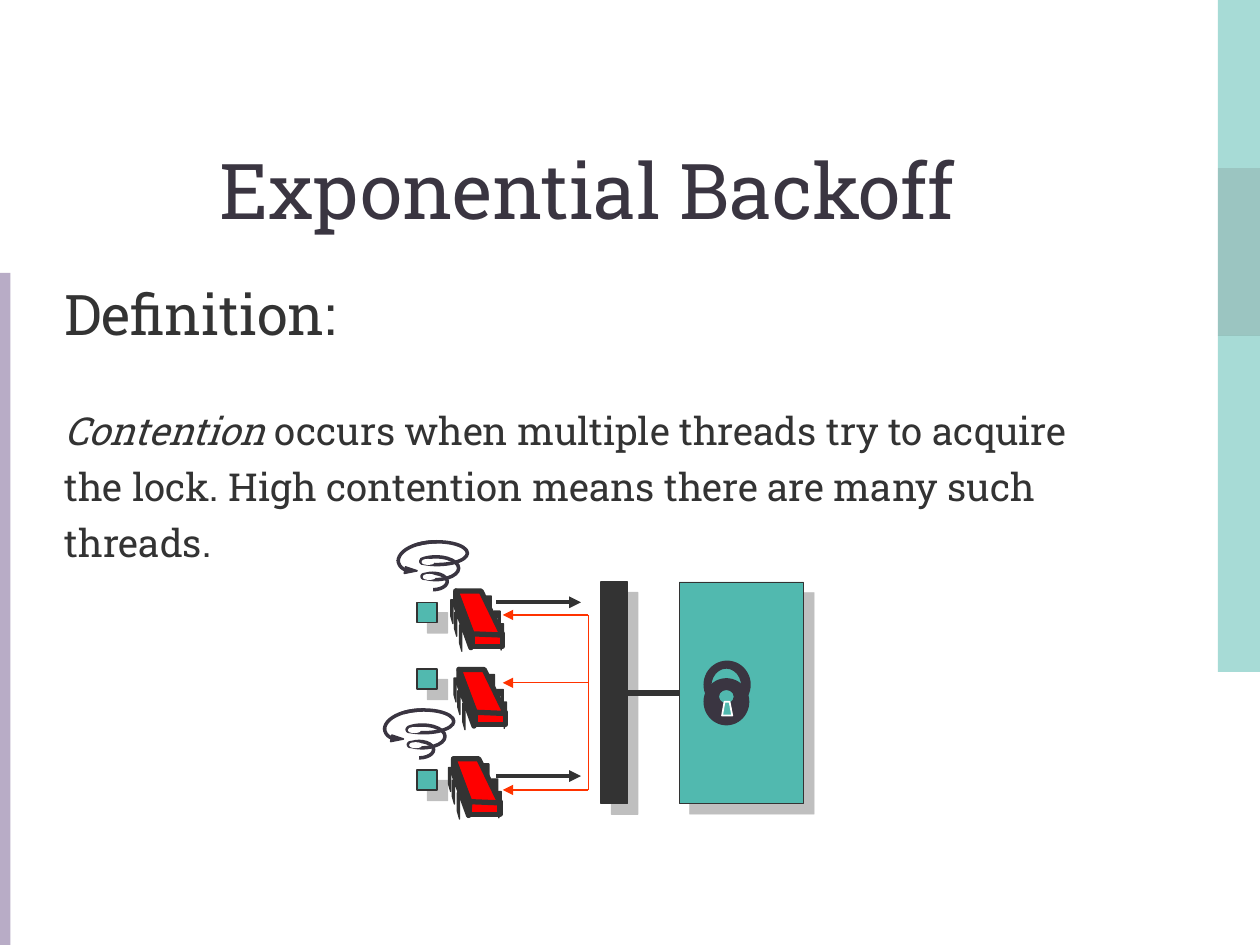
from lxml.etree import SubElement
from pptx import Presentation
from pptx.dml.color import RGBColor
from pptx.enum.shapes import MSO_CONNECTOR as Link, MSO_SHAPE as Kind
from pptx.enum.text import MSO_ANCHOR as Anchor, PP_ALIGN as Align
from pptx.oxml import parse_xml
from pptx.oxml.ns import nsdecls, qn
from pptx.util import Pt

INK = RGBColor(0x3A, 0x35, 0x41)
DARK = RGBColor(0x33, 0x33, 0x33)
TEAL = RGBColor(0x51, 0xB9, 0xAF)
DEEP = RGBColor(0x39, 0x8D, 0x85)
LILAC = RGBColor(0xB8, 0xAC, 0xC6)
RED = RGBColor(0xFF, 0x00, 0x00)
FLAME = RGBColor(0xFF, 0x33, 0x00)
WHITE = RGBColor(0xFF, 0xFF, 0xFF)
FONT = "Roboto Slab"


def paint(shape, fill=None, line=None, width=1):
    shape.shadow.inherit = False
    if fill is None:
        shape.fill.background()
    else:
        shape.fill.solid()
        shape.fill.fore_color.rgb = fill
    if line is None:
        shape.line.fill.background()
    else:
        shape.line.color.rgb = line
        shape.line.width = Pt(width)
    return shape


def add(shapes, kind, x, y, w, h, **look):
    return paint(shapes.add_shape(kind, Pt(x), Pt(y), Pt(w), Pt(h)), **look)


def poly(shapes, points, x=0, y=0, **look):
    """Draw a closed outline whose points are relative to x, y."""
    spots = [(Pt(x + px), Pt(y + py)) for px, py in points]
    form = shapes.build_freeform(*spots[0])
    form.add_line_segments(spots[1:], close=True)
    return paint(form.convert_to_shape(), **look)


def fade(shape, share):
    color = shape.fill._xPr.find(qn("a:solidFill"))[0]
    SubElement(color, qn("a:alpha")).set("val", str(share * 1000))


def drop(shape):
    """Give a shape a hard grey shadow to its lower right."""
    props = shape._element.spPr
    props.remove(props.find(qn("a:effectLst")))
    props.append(parse_xml(
        f'<a:effectLst {nsdecls("a")}><a:outerShdw blurRad="0" '
        f'dist="{Pt(8.5)}" dir="2700000" algn="tl" rotWithShape="0">'
        '<a:srgbClr val="808080"><a:alpha val="50000"/></a:srgbClr>'
        '</a:outerShdw></a:effectLst>'))


def wire(shapes, x1, y1, x2, y2, color, width, head=False):
    link = shapes.add_connector(Link.STRAIGHT, Pt(x1), Pt(y1), Pt(x2), Pt(y2))
    link.line.color.rgb = color
    link.line.width = Pt(width)
    if head:
        SubElement(link.line._get_or_add_ln(), qn("a:tailEnd")).set("type", "triangle")
    SubElement(link._element.spPr, qn("a:effectLst"))


def write(para, text, size=22, color=DARK, italic=False):
    run = para.add_run()
    run.text = text
    font = run.font
    font.name, font.size, font.italic = FONT, Pt(size), italic
    font.color.rgb = color


def box(shapes, x, y, w, h, anchor=Anchor.TOP):
    frame = shapes.add_textbox(Pt(x), Pt(y), Pt(w), Pt(h)).text_frame
    frame.word_wrap = True
    frame.vertical_anchor = anchor
    return frame


def trim(shapes):
    """Draw the coloured bars at both slide edges."""
    for row, color in enumerate((TEAL, DEEP, TEAL, TEAL)):
        fade(add(shapes, Kind.RECTANGLE, 696, row * 96, 24, 96, fill=color), 50)
    add(shapes, Kind.RECTANGLE, 0, 156, 6, 384, fill=LILAC)


def words(shapes):
    para = box(shapes, 30, 48, 612, 90, Anchor.BOTTOM).paragraphs[0]
    para.alignment = Align.CENTER
    write(para, "Exponential Backoff", size=44, color=INK)

    frame = box(shapes, 30, 156, 612, 324)
    write(frame.paragraphs[0], "Definition:", size=32)
    body = (
        (34.6, (("Contention", True),
                (" occurs when multiple threads try to acquire", False))),
        (5.5, (("the lock. High contention means there are many such", False),)),
        (5.5, (("threads.", False),)),
    )
    for gap, runs in body:
        para = frame.add_paragraph()
        para.space_before = Pt(gap)
        for text, slant in runs:
            write(para, text, italic=slant)


def spin(shapes, x, y):
    """Draw a spiral from ellipses, with white patches that cut them open."""
    group = shapes.add_group_shape().shapes
    pen = dict(line=INK, width=2)
    blank = dict(fill=WHITE, line=WHITE, width=2)
    for dx, dy, w, h in ((11.5, 18, 16.6, 9.4), (8.6, 8.6, 26, 13),
                         (5, 0, 34.6, 13)):
        add(group, Kind.OVAL, x + dx, y + dy, w, h, **pen)
    for dx, dy in ((0, 13), (5.8, 16.6), (5, 20.9), (10.8, 25.2), (5, 13.7),
                   (4.3, 10.1), (3.6, 7.2), (2.9, 3.6)):
        add(group, Kind.RECTANGLE, x + dx, y + dy, 7.9, 2.9, **blank)
    for dx, dy in ((13.7, 18.7), (13, 10.1)):
        add(group, Kind.OVAL, x + dx, y + dy, 2.5, 2.2, fill=WHITE, **pen)
        add(group, Kind.OVAL, x + dx + 1.4, y + dy + 0.7, 5.4, 1.4, **blank)
    for dy, w, h, start in ((4.3, 13, 12.2, 54), (0, 43.9, 22.3, 108)):
        arc = add(group, Kind.ARC, x, y + dy, w, h, **pen)
        arc.adjustments[0], arc.adjustments[1] = start, start + 54
    poly(group, ((4.3, 14.4), (10.8, 16.6), (3.6, 18)), x, y, fill=INK, line=INK)


def chip(shapes, x, y):
    """Draw a slanted red chip with three legs on each side."""
    group = shapes.add_group_shape().shapes
    wide = 4.4
    leg = ((0.8, 0), (wide, 0), (wide, 9.4), (3.2, 13.7), (3.2, 3.6), (0, 3.6))
    skin = dict(fill=RED, line=DARK, width=3)

    def legs(spots, flip):
        for dx, dy, scale in spots:
            points = [((wide - px if flip else px) * scale, py * scale)
                      for px, py in leg]
            poly(group, points, x + dx, y + dy, fill=DARK, line=DARK, width=0.75)

    add(group, Kind.RECTANGLE, x + 12.2, y + 24.5, 17.3, 7.2, **skin)
    legs(((25.2, 18.7, 1.1), (23.8, 11.5, 1), (18.7, 2.9, 1)), False)
    poly(group, ((29.5, 25.2), (12.2, 24.5), (2.9, 0), (17.3, 0)), x, y, **skin)
    poly(group, ((2.9, 0), (2.9, 8.6), (11.5, 32.4), (12.2, 25.2)), x, y, **skin)
    legs(((5, 19.4, 1.1), (2.2, 12.2, 1), (0, 5, 1)), True)


def lock(shapes):
    group = shapes.add_group_shape().shapes
    for x, y, w, h, fill in ((402.5, 378, 26, 26.6, INK),
                             (406, 381.6, 18, 20.9, TEAL),
                             (402.5, 388, 25.2, 26, INK),
                             (410.4, 393.8, 9.4, 8.6, TEAL)):
        add(group, Kind.OVAL, x, y, w, h, fill=fill, line=INK)
    poly(group, ((0, 7.9), (5.8, 7.9), (4.3, 0), (1.4, 0)), 412.6, 401,
         fill=TEAL, line=WHITE)


def bus(shapes):
    """Draw the threads' squares, the bus, the lock's panel and the wires."""
    for y in (344.2, 382.3, 440):
        drop(add(shapes, Kind.RECTANGLE, 238.3, y, 11.5, 11.5,
                 fill=TEAL, line=DARK, width=0.75))
    drop(add(shapes, Kind.RECTANGLE, 343.4, 332.6, 15.1, 126.7,
             fill=DARK, line=DARK, width=0.75))
    wire(shapes, 358.6, 396, 388, 396, DARK, 3)
    drop(add(shapes, Kind.RECTANGLE, 388, 332.6, 71.3, 126.7,
             fill=TEAL, line=DARK, width=0.25))
    top, mid, low = 351.4, 390.2, 451.4
    wire(shapes, 336.2, low, 336.2, top, FLAME, 0.75)
    for y in (top, mid, low):
        wire(shapes, 336.2, y, 287.3, y, FLAME, 0.75, head=True)
    for y in (344.2, 443.5):
        wire(shapes, 283.7, y, 332, y, DARK, 2.25, head=True)


def main():
    deck = Presentation()
    deck.slide_width, deck.slide_height = Pt(720), Pt(540)
    shapes = deck.slides.add_slide(deck.slide_layouts[6]).shapes
    trim(shapes)
    words(shapes)
    for x, y in ((227.5, 309.6), (219.7, 405.7)):
        spin(shapes, x, y)
    bus(shapes)
    for x, y in ((257.6, 337.7), (256.3, 433.6), (259.4, 382.5)):
        chip(shapes, x, y)
    lock(shapes)
    deck.save("out.pptx")


if __name__ == "__main__":
    main()
